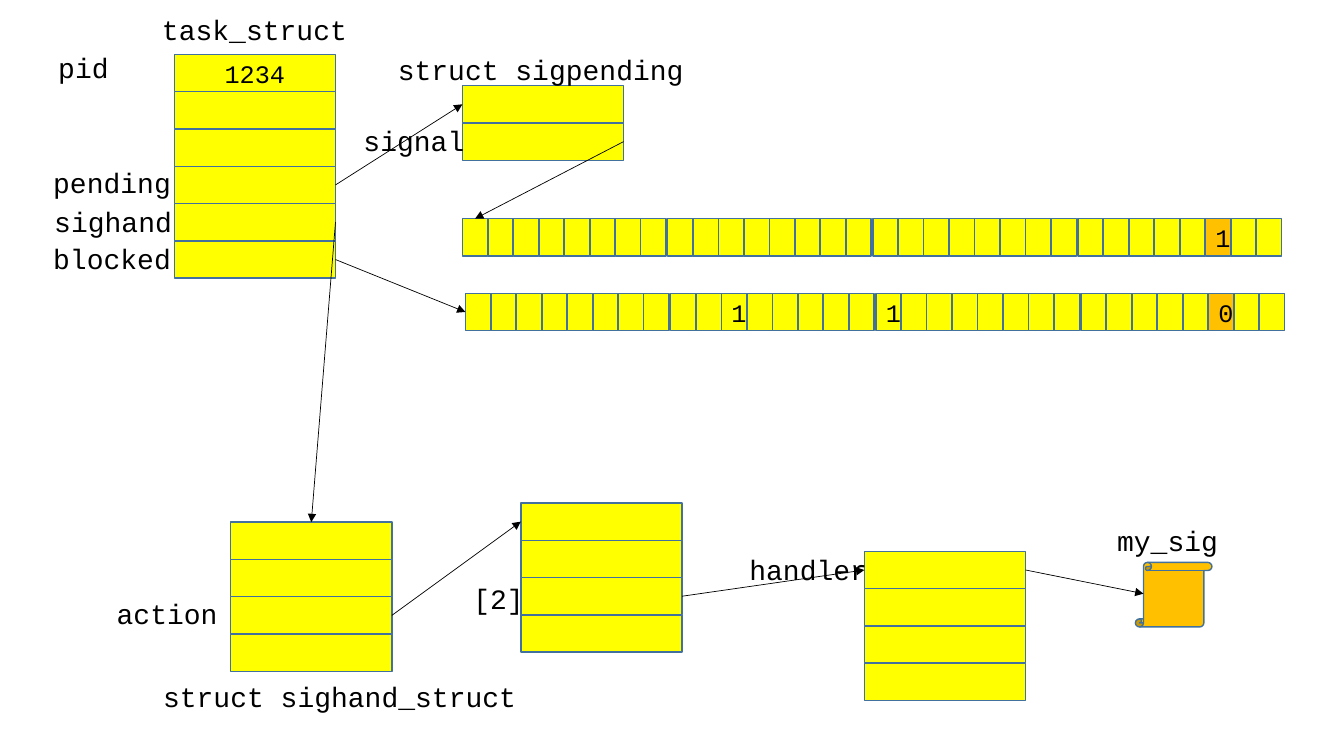
import pptx
import pptx.dml.color
import pptx.enum.shapes
import pptx.enum.text
import pptx.oxml.ns
import pptx.util
from lxml import etree

Inches = pptx.util.Inches
SHAPES = pptx.enum.shapes.MSO_SHAPE
FONT = "Courier New"
COLORS = {"cell": "FFFF00", "marked": "FFC000", "border": "41719C", "ink": "000000"}

# Structures: name -> left, top, number of fields, {field: text}
STRUCTS = {
    "task": (1.73, 0.54, 6, {0: "1234"}),
    "sigpending": (4.59, 0.85, 2, {}),
    "sighand": (2.29, 5.18, 4, {}),
    "actions": (5.17, 4.99, 4, {}),
    "sigaction": (8.58, 5.47, 4, {}),
}
FIELD_WIDTH, CELL_HEIGHT = 1.6, 0.37

# Signal bitmaps: name -> left, top, {bit: text}
BITMAPS = {
    "signal": (4.59, 2.17, {29: "1"}),
    "blocked": (4.62, 2.91, {10: "1", 16: "1", 29: "0"}),
}
BIT_COUNT, MARKED_BIT = 32, 29
BIT_WIDTH, BIT_STEP = 0.25, 1.77 / 7
BYTE_STEP = 6.11 / 3

# Labels: text, left, top, width
LABELS = [
    ("task_struct", 1.51, 0.08, 2.04),
    ("pid", 0.48, 0.45, 0.7),
    ("pending", 0.43, 1.59, 1.37),
    ("sighand", 0.44, 1.98, 1.37),
    ("blocked", 0.43, 2.35, 1.37),
    ("struct sigpending", 3.85, 0.47, 3.05),
    ("signal", 3.51, 1.18, 1.2),
    ("action", 1.06, 5.87, 1.2),
    ("struct sighand_struct", 1.52, 6.69, 3.72),
    ("[2]", 4.6, 5.72, 0.7),
    ("handler", 7.34, 5.43, 1.37),
    ("my_sig", 10.99, 5.14, 1.2),
]
LABEL_HEIGHT = 0.44

# Pointers: (owner, cell) leaving on the right, (target, cell), side entered
TOP, LEFT, RIGHT = 0, 1, 3
POINTERS = [
    (("task", 3), ("sigpending", 0), LEFT),
    (("sigpending", 1), ("signal", 0), TOP),
    (("task", 4), ("sighand", 0), TOP),
    (("task", 5), ("blocked", 0), LEFT),
    (("sighand", 2), ("actions", 0), LEFT),
    (("actions", 2), ("sigaction", 0), LEFT),
]
SCROLL = (11.27, 5.58, 0.76, 0.64)
SCROLL_ENTRY = (11.35, 5.89)

deck = pptx.Presentation()
deck.slide_width, deck.slide_height = Inches(13.34), Inches(7.5)
page = deck.slides.add_slide(deck.slide_layouts[6])


def color(name):
    return pptx.dml.color.RGBColor.from_string(COLORS[name])


def write(box, text, size=18, align="CENTER", anchor="MIDDLE", wrap=True):
    frame = box.text_frame
    frame.word_wrap = wrap
    frame.vertical_anchor = pptx.enum.text.MSO_ANCHOR[anchor]
    para = frame.paragraphs[0]
    para.alignment = pptx.enum.text.PP_ALIGN[align]
    span = para.add_run()
    span.text = text
    span.font.name, span.font.size = FONT, pptx.util.Pt(size)
    span.font.color.rgb = color("ink")


def add_box(left, top, width, height, text="", fill="cell", shape=SHAPES.RECTANGLE):
    box = page.shapes.add_shape(shape, *map(Inches, (left, top, width, height)))
    box.shadow.inherit = False
    box.fill.solid()
    box.fill.fore_color.rgb = color(fill)
    box.line.color.rgb = color("border")
    box.line.width = pptx.util.Pt(1)
    if text:
        write(box, text)
    return box


def add_arrow(source, target=None, side=LEFT, end=(0, 0)):
    arrow = page.shapes.add_connector(
        pptx.enum.shapes.MSO_CONNECTOR.STRAIGHT, 0, 0, *map(Inches, end))
    arrow.begin_connect(source, RIGHT)
    if target is not None:
        arrow.end_connect(target, side)
    arrow.line.color.rgb = color("ink")
    arrow.line.width = pptx.util.Pt(0.5)
    qn = pptx.oxml.ns.qn
    etree.SubElement(arrow.line._get_or_add_ln(), qn("a:tailEnd"), type="triangle")
    etree.SubElement(arrow._element.spPr, qn("a:effectLst"))


cells = {}

# Structures, one box per field
for name, (left, top, count, values) in STRUCTS.items():
    for field in range(count):
        cells[name, field] = add_box(left, top + field * CELL_HEIGHT, FIELD_WIDTH,
                                     CELL_HEIGHT, values.get(field, ""))

# Bitmaps, four groups of eight bits
for name, (left, top, values) in BITMAPS.items():
    for bit in range(BIT_COUNT):
        byte, place = divmod(bit, 8)
        cells[name, bit] = add_box(
            left + byte * BYTE_STEP + place * BIT_STEP, top, BIT_WIDTH, CELL_HEIGHT,
            values.get(bit, ""), "marked" if bit == MARKED_BIT else "cell")

# Handler function
add_box(*SCROLL, fill="marked", shape=SHAPES.VERTICAL_SCROLL)

# Pointers
for source, target, side in POINTERS:
    add_arrow(cells[source], cells[target], side)
add_arrow(cells["sigaction", 0], end=SCROLL_ENTRY)

# Labels
for text, left, top, width in LABELS:
    label = page.shapes.add_textbox(*map(Inches, (left, top, width, LABEL_HEIGHT)))
    write(label, text, size=20, align="LEFT", anchor="TOP", wrap=False)
    label.text_frame.auto_size = pptx.enum.text.MSO_AUTO_SIZE.SHAPE_TO_FIT_TEXT

deck.save("out.pptx")
